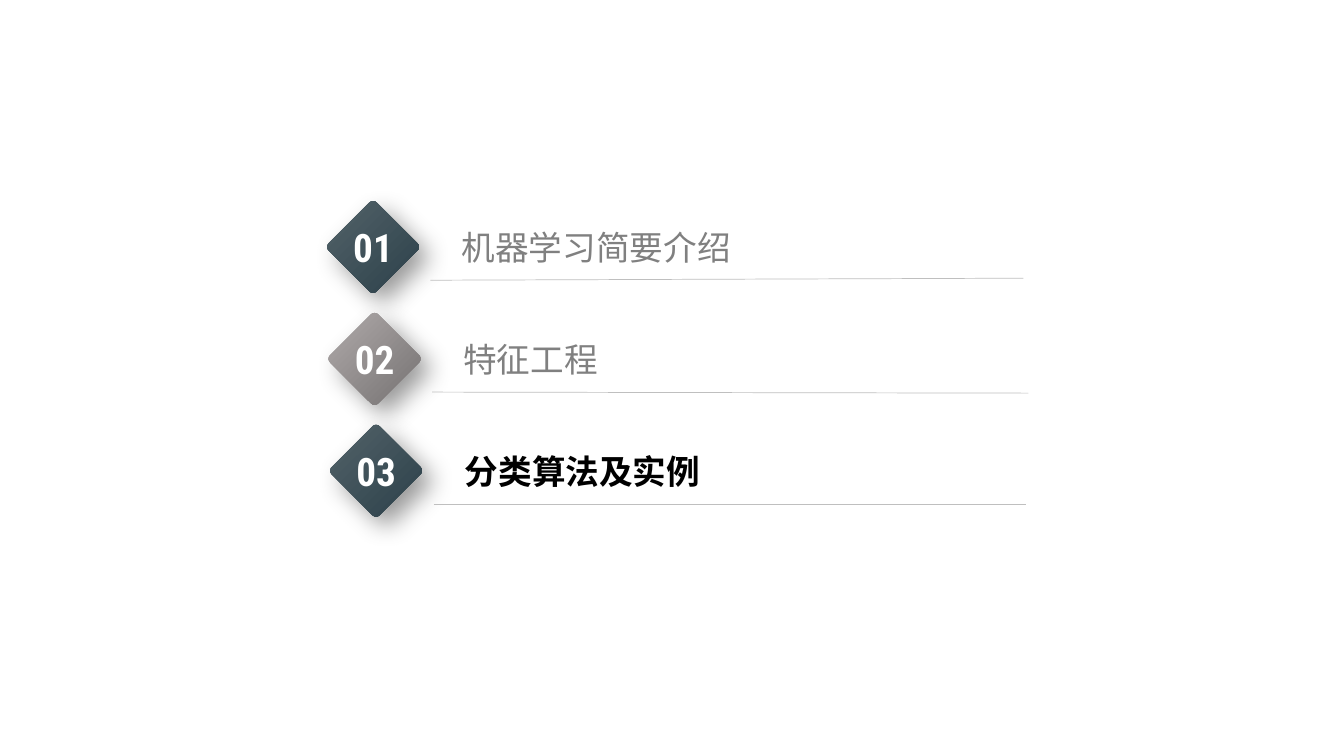
"""Build an agenda slide with three numbered diamonds, labels and rules."""
import math
from dataclasses import dataclass

import lxml.etree
import pptx
import pptx.dml.color
import pptx.enum.shapes
import pptx.enum.text
import pptx.oxml
import pptx.oxml.ns
import pptx.util

Inches = pptx.util.Inches
qualified = pptx.oxml.ns.qn

LATIN_FONT = "Roboto Condensed"
CHINESE_FONT = "Noto Sans CJK SC"
SLATE = ("526269", "2D414A")
GREY = ("AFABAB", "767171")
ROW_PITCH = 1.11
ROW_SHIFT = 0.015
CORNER_DISTANCE = 0.405
CORNER_RADIUS = 0.05
ARC_STEPS = 8


@dataclass(frozen=True)
class AgendaItem:
    number: str
    label: str
    gradient: tuple[str, str]
    label_width: float
    rule_end: tuple[float, float]
    placeholder_index: int
    current: bool = False


ITEMS = [
    AgendaItem("01", "机器学习简要介绍", SLATE, 6.26, (10.15, 2.76), 1),
    AgendaItem("02", "特征工程", GREY, 5.83, (10.2, 3.9), 2),
    AgendaItem("03", "分类算法及实例", SLATE, 5.72, (10.18, 5.0), 3, current=True),
]


def rgb(value: str) -> pptx.dml.color.RGBColor:
    return pptx.dml.color.RGBColor.from_string(value)


def write_text(shape, text: str, *, size: float, color: str, font: str = LATIN_FONT,
               bold: bool = False, align=pptx.enum.text.PP_ALIGN.LEFT,
               wrap: bool = True) -> None:
    frame = shape.text_frame
    frame.margin_left = frame.margin_right = frame.margin_top = frame.margin_bottom = 0
    frame.word_wrap = wrap
    frame.auto_size = pptx.enum.text.MSO_AUTO_SIZE.NONE
    frame.vertical_anchor = pptx.enum.text.MSO_ANCHOR.MIDDLE
    paragraph = frame.paragraphs[0]
    paragraph.alignment = align
    paragraph.space_before = pptx.util.Pt(0)
    properties = paragraph._p.get_or_add_pPr()
    properties.set("marL", "0")
    properties.set("indent", "0")
    lxml.etree.SubElement(properties, qualified("a:buNone"))
    run = paragraph.add_run()
    run.text = text
    run.font.name = font
    run.font.size = pptx.util.Pt(size)
    run.font.bold = bold
    run.font.color.rgb = rgb(color)
    east_asian = lxml.etree.SubElement(run._r.get_or_add_rPr(), qualified("a:ea"))
    east_asian.set("typeface", CHINESE_FONT)


def add_shadow(shape) -> None:
    shape.shadow.inherit = False
    effects = shape._element.spPr.find(qualified("a:effectLst"))
    effects.append(pptx.oxml.parse_xml(
        f'<a:outerShdw {pptx.oxml.ns.nsdecls("a")} blurRad="{pptx.util.Pt(18)}" '
        f'dist="{pptx.util.Pt(10)}" dir="2700000" algn="tl" rotWithShape="0">'
        '<a:srgbClr val="000000"><a:alpha val="40000"/></a:srgbClr></a:outerShdw>'))


def diamond_points(center_x: float, center_y: float) -> list[tuple[int, int]]:
    points = []
    for corner in range(4):
        direction = corner * math.pi / 2
        for step in range(ARC_STEPS + 1):
            angle = direction + (step / ARC_STEPS - 0.5) * math.pi / 2
            x = CORNER_DISTANCE * math.cos(direction) + CORNER_RADIUS * math.cos(angle)
            y = CORNER_DISTANCE * math.sin(direction) + CORNER_RADIUS * math.sin(angle)
            points.append((Inches(center_x + x), Inches(center_y + y)))
    return points


def add_diamond(slide, item: AgendaItem, center_x: float, center_y: float) -> None:
    points = diamond_points(center_x, center_y)
    builder = slide.shapes.build_freeform(*points[0])
    builder.add_line_segments(points[1:], close=True)
    diamond = builder.convert_to_shape()
    diamond.fill.gradient()
    diamond.fill.gradient_angle = 315
    for stop, color in zip(diamond.fill.gradient_stops, item.gradient):
        stop.color.rgb = rgb(color)
    diamond.line.fill.background()
    add_shadow(diamond)
    write_text(diamond, item.number, size=28, color="FFFFFF", bold=True,
               align=pptx.enum.text.PP_ALIGN.CENTER, wrap=False)


def add_label(slide, item: AgendaItem, left: float, top: float) -> None:
    label = slide.placeholders[item.placeholder_index]
    label.left, label.top = Inches(left), Inches(top)
    label.width, label.height = Inches(item.label_width), Inches(0.4)
    write_text(label, item.label, size=24, bold=item.current,
               color="000000" if item.current else "808080",
               font=CHINESE_FONT if item.current else LATIN_FONT)


def add_rule(slide, item: AgendaItem, left: float, top: float) -> None:
    end_x, end_y = item.rule_end
    rule = slide.shapes.add_connector(
        pptx.enum.shapes.MSO_CONNECTOR.STRAIGHT,
        Inches(left), Inches(top), Inches(end_x), Inches(end_y))
    rule.line.color.rgb = rgb("BFBFBF")
    rule.line.width = pptx.util.Pt(0.5)
    lxml.etree.SubElement(rule._element.spPr, qualified("a:effectLst"))


def main() -> None:
    presentation = pptx.Presentation()
    presentation.slide_width = Inches(13.33)
    presentation.slide_height = Inches(7.5)
    slide = presentation.slides.add_slide(
        presentation.slide_layouts.get_by_name("Comparison"))
    for row, item in enumerate(ITEMS):
        shift, drop = row * ROW_SHIFT, row * ROW_PITCH
        add_diamond(slide, item, 3.7 + shift, 2.45 + drop)
        add_label(slide, item, 4.58 + shift, 2.25 + drop)
        add_rule(slide, item, 4.27 + shift, 2.78 + drop)
    for placeholder in list(slide.placeholders):
        if not placeholder.text_frame.text:
            placeholder._element.getparent().remove(placeholder._element)
    presentation.save("out.pptx")


if __name__ == "__main__":
    main()
